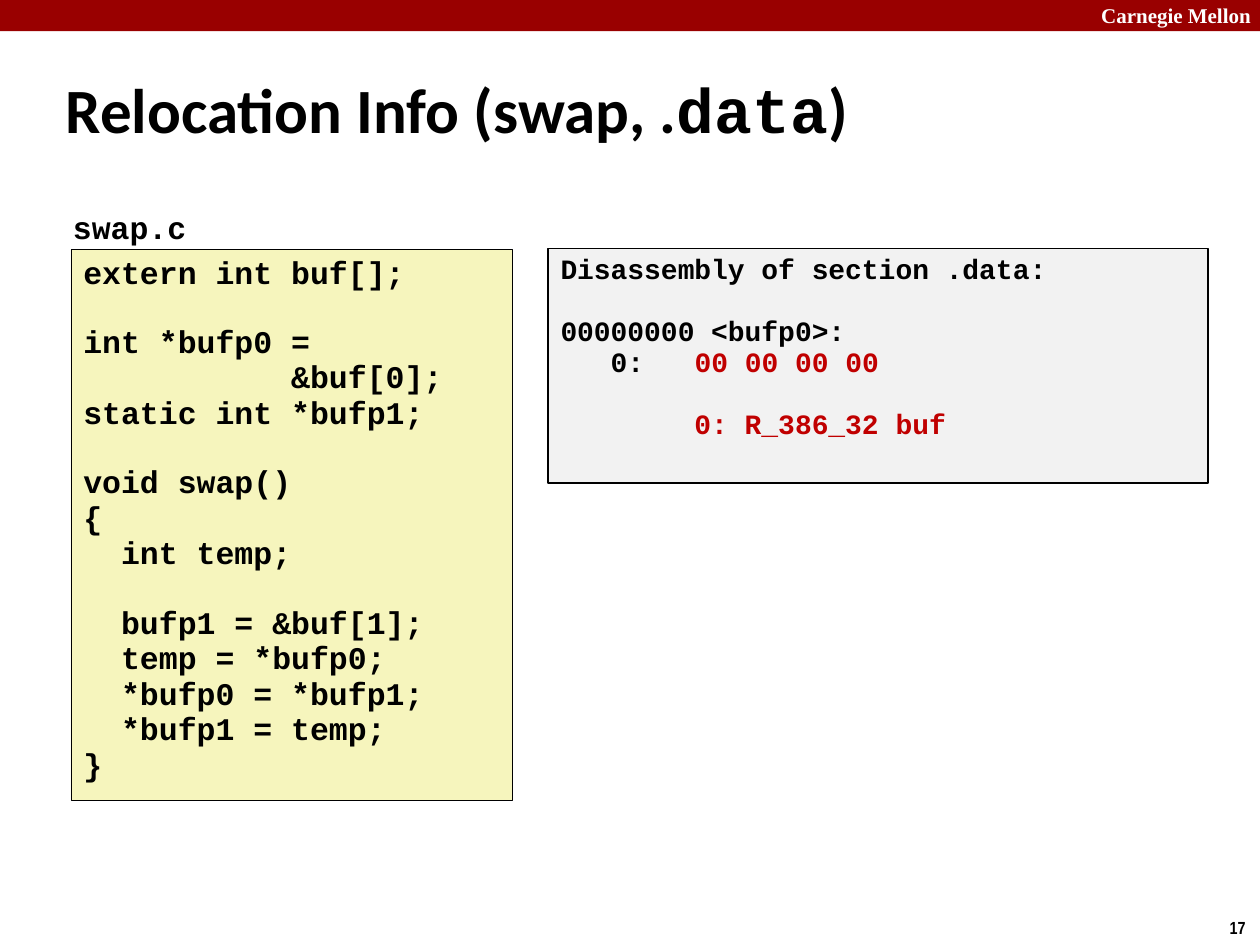
from pptx import Presentation
from pptx.dml.color import RGBColor
from pptx.enum.shapes import MSO_SHAPE
from pptx.enum.text import MSO_ANCHOR, MSO_AUTO_SIZE, PP_ALIGN
from pptx.util import Cm, Pt

HUES = {"bar": "990000", "white": "FFFFFF", "ink": "000000",
        "red": "C00000", "gray": "F2F2F2", "cream": "F6F5BD"}
MONO = "Courier New"
LEAD = 0.94
GAP = 1.07

CODE = """extern int buf[];

int *bufp0 =
           &buf[0];
static int *bufp1;

void swap()
{
  int temp;

  bufp1 = &buf[1];
  temp = *bufp0;
  *bufp0 = *bufp1;
  *bufp1 = temp;
}"""

DATA = [
    [("Disassembly of section .data:", "ink")],
    [],
    [("00000000 <bufp0>:", "ink")],
    [("   0:   ", "ink"), ("00 00 00 00", "red")],
    [],
    [("        0: R_386_32 buf", "red")],
]


def hue(name):
    """Return the colour of that name."""
    return RGBColor.from_string(HUES[name])


def add_run(para, text, size, face, tint="ink"):
    """Add one bold run to a paragraph."""
    run = para.add_run()
    run.text = text
    font = run.font
    font.size, font.name, font.bold = Pt(size), face, True
    font.color.rgb = hue(tint)


def add_rect(slide, area, fill, line=None):
    """Add a flat rectangle, with a black outline if a width is given."""
    rect = slide.shapes.add_shape(MSO_SHAPE.RECTANGLE, *map(Cm, area))
    rect.shadow.inherit = False
    rect.fill.solid()
    rect.fill.fore_color.rgb = hue(fill)
    if line is None:
        rect.line.fill.background()
    else:
        rect.line.color.rgb = hue("ink")
        rect.line.width = Pt(line)
    return rect


def add_label(slide, area, text, size, face, tint="ink"):
    """Add a one-line text box."""
    frame = slide.shapes.add_textbox(*map(Cm, area)).text_frame
    frame.word_wrap = False
    add_run(frame.paragraphs[0], text, size, face, tint)


def add_code(slide, area, rows, size, fill, line):
    """Add a code panel where an empty row becomes space before the next."""
    frame = add_rect(slide, area, fill, line).text_frame
    frame.word_wrap = True
    frame.vertical_anchor = MSO_ANCHOR.TOP
    para, skip = frame.paragraphs[0], False
    for index, row in enumerate(rows):
        if not row:
            skip = True
            continue
        if index:
            para = frame.add_paragraph()
        para.alignment = PP_ALIGN.LEFT
        para.line_spacing = LEAD
        if skip:
            para.space_before = Pt(round(size * GAP, 1))
        skip = False
        for text, tint in row:
            add_run(para, text, size, MONO, tint)


def set_title(slide, area, parts):
    """Place the title and fill it run by run."""
    title = slide.shapes.title
    title.left, title.top, title.width, title.height = map(Cm, area)
    frame = title.text_frame
    frame.auto_size = MSO_AUTO_SIZE.NONE
    frame.vertical_anchor = MSO_ANCHOR.MIDDLE
    para = frame.paragraphs[0]
    para.alignment = PP_ALIGN.LEFT
    para.line_spacing = 0.82
    for text, face in parts:
        add_run(para, text, 36, face)


def main():
    """Build the slide and save it."""
    deck = Presentation()
    deck.slide_width, deck.slide_height = Cm(25.4), Cm(19.05)
    slide = deck.slides.add_slide(deck.slide_layouts[5])
    add_rect(slide, (0, 0, 25.4, 0.63), "bar")
    add_label(slide, (21.95, -0.08, 3.63, 0.76), "Carnegie Mellon", 12,
              "Times New Roman", "white")
    add_label(slide, (24.54, 18.36, 0.86, 0.69), "17", 10, "Arial Narrow")
    set_title(slide, (1.07, 1.22, 24.21, 2.18),
              [("Relocation Info (swap, .", "Calibri"), ("data", MONO),
               (")", "Calibri")])
    add_code(slide, (11.05, 5.01, 13.3, 4.73), DATA, 16, "gray", 1)
    rows = [[(text, "ink")] if text else [] for text in CODE.split("\n")]
    add_code(slide, (1.43, 5.03, 8.9, 11.1), rows, 18, "cream", 0.25)
    add_label(slide, (1.22, 4.06, 2.82, 1.02), "swap.c", 18, MONO)
    deck.save("out.pptx")


if __name__ == "__main__":
    main()
